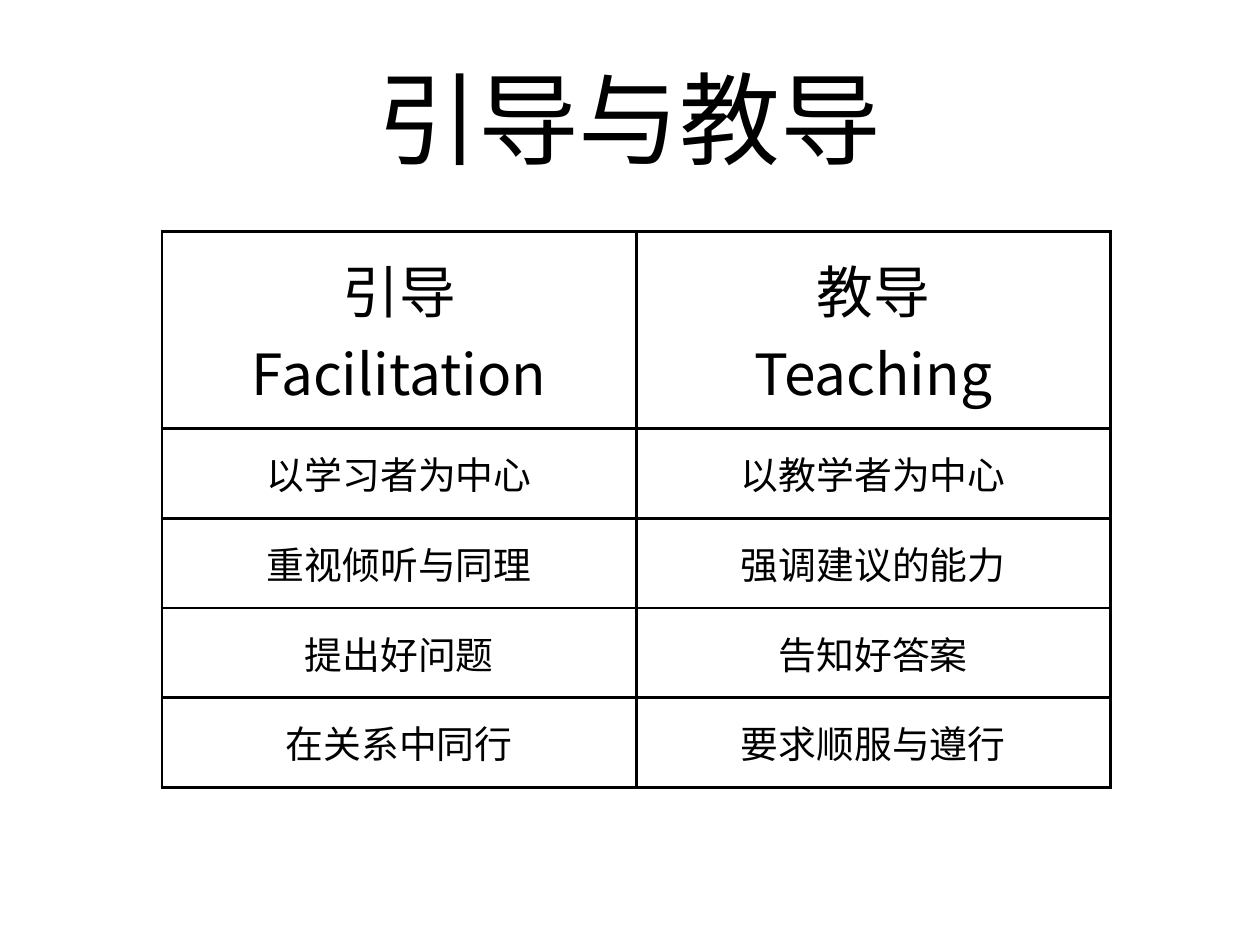
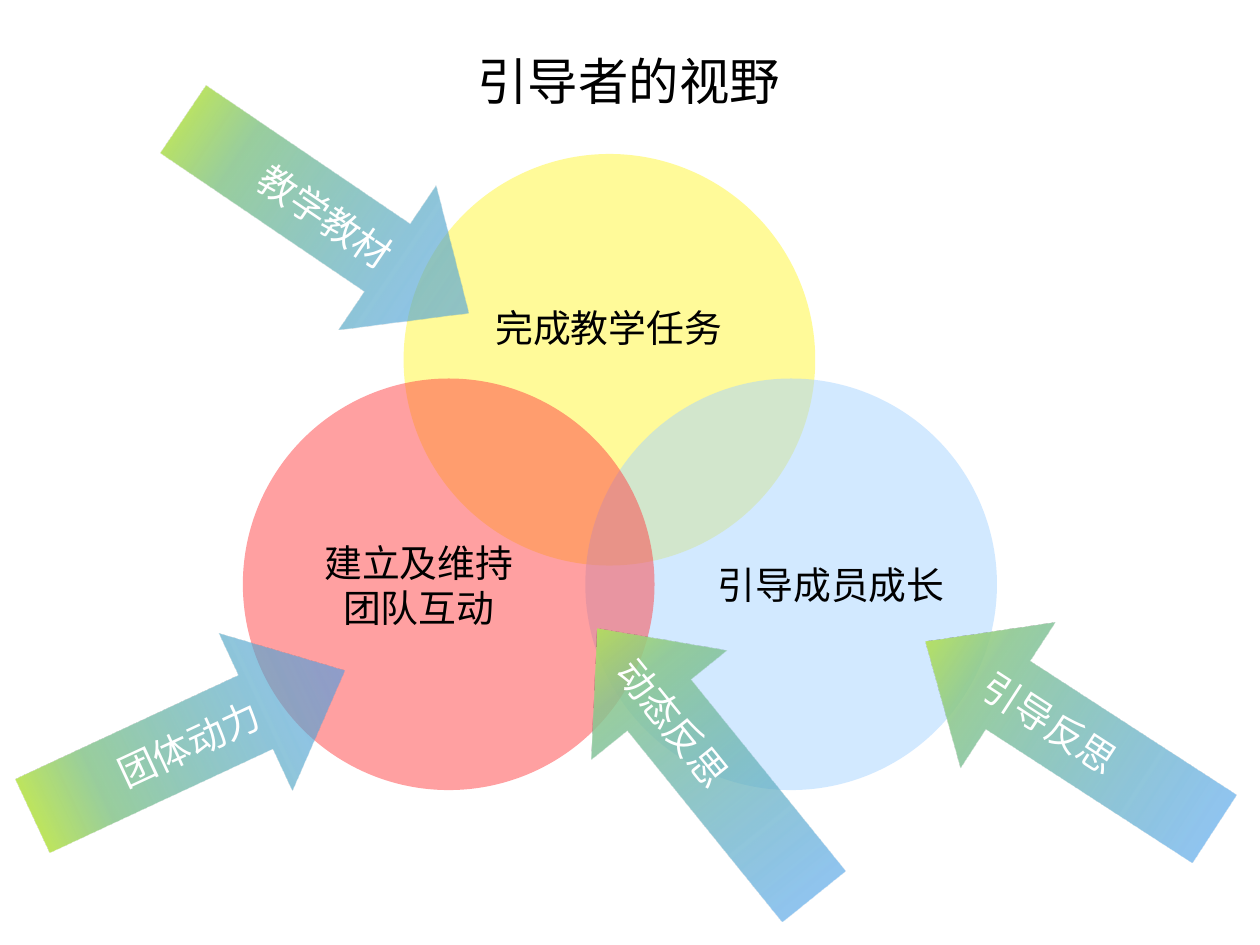
import math

from pptx import Presentation
from pptx.enum import shapes, text
from pptx.dml.color import RGBColor
from pptx.oxml.ns import qn
from pptx.oxml.xmlchemy import OxmlElement
from pptx.util import Cm, Pt

COLORS = {
    "ink": "000000",
    "white": "FFFFFF",
    "yellow": "FFF735",
    "sky": "A7D4FF",
    "red": "FF4245",
    "lime": "E7FF1D",
    "green": "8AC78E",
    "blue": "2D8FFF",
}
TITLE_FONT = "Noto Sans CJK SC"
LABEL_FONT = "Noto Sans CJK JP"
INSET = 0.1

TABLE_ROWS = [
    (["引导", "Facilitation"], ["教导", "Teaching"]),
    (["以学习者为中心"], ["以教学者为中心"]),
    (["重视倾听与同理"], ["强调建议的能力"]),
    (["提出好问题"], ["告知好答案"]),
    (["在关系中同行"], ["要求顺服与遵行"]),
]
CIRCLE_SIZE = 9.22
CIRCLES = [("yellow", 3.6, 0), ("sky", 7.67, 5.03), ("red", 0, 5.03)]
CIRCLE_LABELS = [
    (["完成教学任务"], 4.87, 3.18, 6.65, 1.4),
    (["引导成员成长"], 9.85, 8.95, 6.65, 1.4),
    (["建立及维持", "团队互动"], 1.16, 8.34, 5.56, 2.64),
]
ARROW_SIZE = (7.7, 3.89)
LABEL_SIZE = (3.43, 1.02)
ARROWS = [
    ("教学教材", 7.3, 4.84, 34.1, False, 0),
    ("团体动力", 4.23, 16.65, 335, False, 0),
    ("动态反思", 15.81, 17.08, 51.1, True, -1.15),
    ("引导反思", 23.96, 16.47, 33, True, -0.52),
]
ARROW_STOPS = [(0, "lime", 100), (29, "green", 86), (100, "blue", 50)]


def add_child(parent, tag, **attributes):
    child = OxmlElement(tag)
    for name, value in attributes.items():
        child.set(name, str(value))
    parent.append(child)
    return child


def add_color(parent, color, opacity=100):
    node = add_child(parent, "a:srgbClr", val=COLORS[color])
    if opacity < 100:
        add_child(node, "a:alpha", val=opacity * 1000)


def write_lines(frame, lines, size, font, color="ink"):
    for index, line in enumerate(lines):
        para = frame.paragraphs[0] if index == 0 else frame.add_paragraph()
        para.alignment = text.PP_ALIGN.CENTER
        span = para.add_run()
        span.text = line
        span.font.size = Pt(size)
        span.font.color.rgb = RGBColor.from_string(COLORS[color])
        span.font.name = font
        add_child(span.font._element, "a:ea", typeface=font)


def add_label(holder, lines, left, top, width, height, size=24, font=LABEL_FONT,
              color="ink", wrap=True, inset=0, anchor=text.MSO_ANCHOR.MIDDLE):
    box = holder.shapes.add_textbox(Cm(left), Cm(top), Cm(width), Cm(height))
    frame = box.text_frame
    frame.word_wrap = wrap
    frame.vertical_anchor = anchor
    frame.margin_left = frame.margin_right = Cm(inset)
    frame.margin_top = frame.margin_bottom = Cm(inset)
    if not wrap:
        frame.auto_size = text.MSO_AUTO_SIZE.SHAPE_TO_FIT_TEXT
    write_lines(frame, lines, size, font, color)
    return box


def add_title(page, title, left, top, width, height, size, **options):
    add_label(page, [title], left, top, width, height, size, TITLE_FONT, **options)


def add_plain_shape(holder, kind, left, top, width, height):
    shape = holder.shapes.add_shape(kind, Cm(left), Cm(top), Cm(width), Cm(height))
    shape.shadow.inherit = False
    shape.line.fill.background()
    return shape


def style_cell(cell):
    cell.vertical_anchor = text.MSO_ANCHOR.MIDDLE
    cell.margin_left = cell.margin_right = Cm(INSET)
    cell.margin_top = cell.margin_bottom = Cm(INSET)
    properties = cell._tc.get_or_add_tcPr()
    for side in ("L", "R", "T", "B"):
        border = add_child(properties, f"a:ln{side}", w=Pt(2))
        add_color(add_child(border, "a:solidFill"), "ink")
    cell.fill.background()


def add_comparison(page, left, top, width, head_height, row_height):
    height = head_height + row_height * (len(TABLE_ROWS) - 1)
    table = page.shapes.add_table(
        len(TABLE_ROWS), 2, Cm(left), Cm(top), Cm(width), Cm(height)).table
    table.first_row = table.horz_banding = False
    for column in table.columns:
        column.width = Cm(width / 2)
    for index, entries in enumerate(TABLE_ROWS):
        is_head = index == 0
        table.rows[index].height = Cm(head_height if is_head else row_height)
        for column, lines in enumerate(entries):
            cell = table.cell(index, column)
            style_cell(cell)
            write_lines(cell.text_frame, lines, 36 if is_head else 24, TITLE_FONT)


def add_circles(page, left, top):
    group = page.shapes.add_group_shape()
    for color, across, down in CIRCLES:
        circle = add_plain_shape(group, shapes.MSO_SHAPE.OVAL, left + across,
                                 top + down, CIRCLE_SIZE, CIRCLE_SIZE)
        circle.fill.solid()
        circle.fill.fore_color.rgb = RGBColor.from_string(COLORS[color])
        tint = circle._element.spPr.find(qn("a:solidFill"))[0]
        add_child(tint, "a:alpha", val=50000)
    for lines, across, down, width, height in CIRCLE_LABELS:
        add_label(group, lines, left + across, top + down, width, height)


def fill_gradient(shape, stops):
    shape.fill.gradient()
    shape.fill.gradient_angle = 0
    stop_list = shape._element.spPr.find(qn("a:gradFill")).find(qn("a:gsLst"))
    for stop in list(stop_list):
        stop_list.remove(stop)
    for position, color, opacity in stops:
        add_color(add_child(stop_list, "a:gs", pos=position * 1000), color, opacity)


def add_arrow(page, label, center_x, center_y, angle, flipped, shift):
    group = page.shapes.add_group_shape()
    width, height = ARROW_SIZE
    arrow = add_plain_shape(group, shapes.MSO_SHAPE.RIGHT_ARROW,
                            center_x - width / 2, center_y - height / 2, width, height)
    arrow.adjustments[0] = 0.468
    arrow.adjustments[1] = 0.566
    arrow.rotation = angle
    stops = ARROW_STOPS
    if flipped:
        arrow._element.spPr.find(qn("a:xfrm")).set("flipH", "1")
        stops = [(100 - position, color, opacity)
                 for position, color, opacity in reversed(ARROW_STOPS)]
    fill_gradient(arrow, stops)
    width, height = LABEL_SIZE
    label_x = center_x + shift * math.cos(math.radians(angle))
    label_y = center_y + shift * math.sin(math.radians(angle))
    box = add_label(group, [label], label_x - width / 2, label_y - height / 2,
                    width, height, color="white", wrap=False)
    box.rotation = angle


def build_comparison_page(page):
    add_title(page, "引导与教导", 2.74, 1.12, 22.71, 2.97, 64,
              inset=INSET, anchor=text.MSO_ANCHOR.BOTTOM)
    add_comparison(page, 3.63, 5.18, 21.24, 4.42, 2.01)


def build_vision_page(page):
    add_circles(page, 5.44, 3.45)
    for arrow in ARROWS:
        add_arrow(page, *arrow)
    add_title(page, "引导者的视野", 10.67, 1.12, 6.83, 1.37, 32, wrap=False)


def main():
    deck = Presentation()
    deck.slide_width = Cm(28.22)
    deck.slide_height = Cm(21.17)
    for build in (build_comparison_page, build_vision_page):
        build(deck.slides.add_slide(deck.slide_layouts[6]))
    deck.save("out.pptx")


if __name__ == "__main__":
    main()
